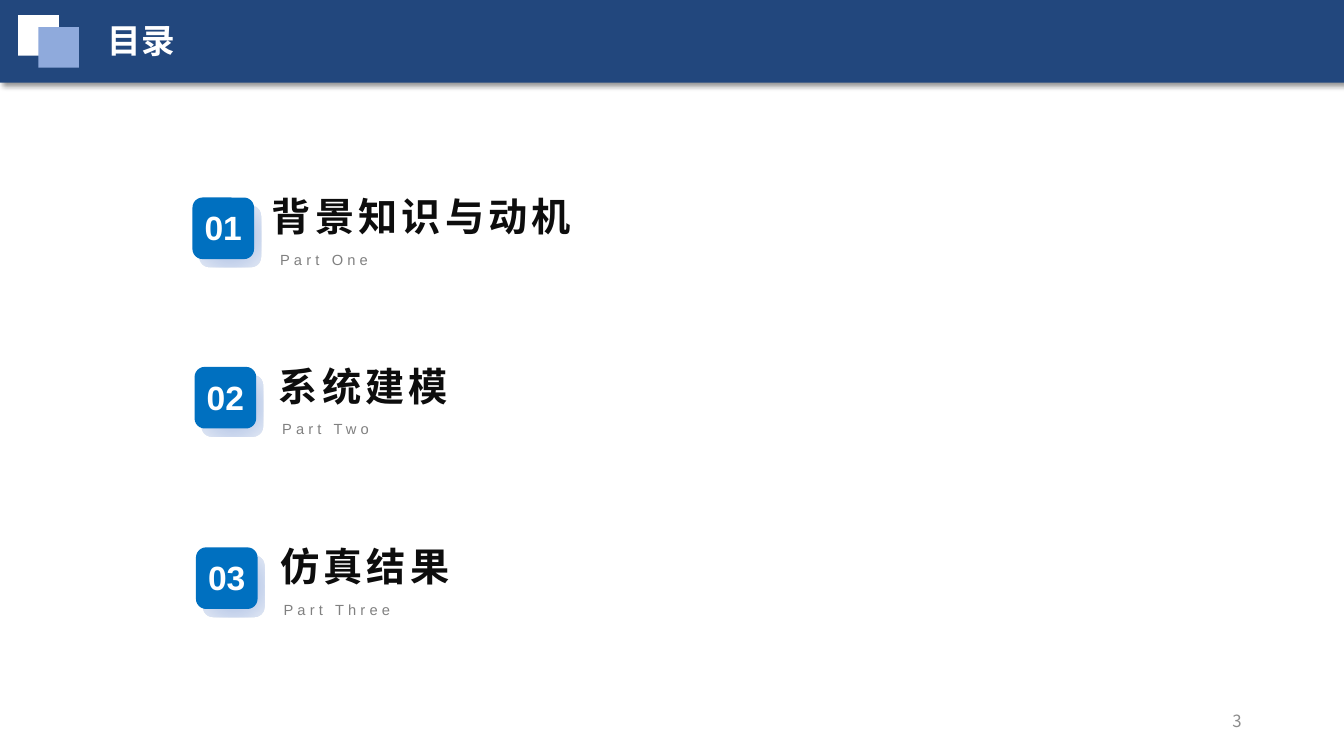
from lxml.etree import SubElement
from pptx import Presentation
from pptx.dml.color import RGBColor as RGB
from pptx.enum.shapes import MSO_SHAPE as Preset
from pptx.enum.text import MSO_ANCHOR as Anchor, MSO_AUTO_SIZE as AutoSize, PP_ALIGN as Align
from pptx.oxml import parse_xml
from pptx.oxml.ns import nsdecls, qn
from pptx.util import Pt

HEADING = "目录"
PAGE_NUMBER = "3"
SECTIONS = [
    {"number": "01", "title": "背景知识与动机", "part": "Part One",
     "left": 137.5, "top": 141.1, "title_left": 187.2, "title_width": 249.8},
    {"number": "02", "title": "系统建模", "part": "Part Two",
     "left": 139, "top": 262.1, "title_left": 192.2, "title_width": 182.9},
    {"number": "03", "title": "仿真结果", "part": "Part Three",
     "left": 140, "top": 391, "title_left": 193, "title_width": 166.3},
]

CJK = "Noto Sans CJK SC"
THEME = {
    "banner": "22477D", "white": "FFFFFF", "accent": "8FAADC", "badge": "0070C0",
    "badge_glow": [(0, "94B1E1"), (50, "BFCEEA"), (100, "E0E7F4")],
    "title_ink": ["0D0D0D", "595959"],
    "heading": {"size": Pt(24), "name": CJK, "bold": True},
    "page": {"size": Pt(12), "name": CJK},
    "part": {"size": Pt(10.5), "name": "Arial"},
    "number": {"size": Pt(24), "name": "Arial", "bold": True},
    "title": {"size": Pt(28), "name": "Arial", "bold": True},
    "ink": {"heading": "FFFFFF", "page": "8C8C8C", "part": "808080", "number": "FFFFFF"},
    "spacing": {"part": 3, "title": 3},
}
SLIDE_WIDTH, SLIDE_HEIGHT = 960, 540
BANNER_HEIGHT = 59
LOGO_SIDE = 29
BADGE_SIDE = 44
BADGE_ROUNDING = 0.164


def add_block(parent, preset, box, color=None):
    block = parent.add_shape(preset, *map(Pt, box))
    block.shadow.inherit = False
    block.line.fill.background()
    if color:
        block.fill.solid()
        block.fill.fore_color.rgb = RGB.from_string(color)
    return block


def add_label(parent, text, box, role, align=Align.LEFT, **frame_format):
    frame = parent.add_textbox(*map(Pt, box)).text_frame
    settings = {"word_wrap": True, "auto_size": AutoSize.SHAPE_TO_FIT_TEXT, **frame_format}
    for name, value in settings.items():
        setattr(frame, name, value)
    line = frame.paragraphs[0]
    line.alignment = align
    run = line.add_run()
    run.text = text
    for name, value in THEME[role].items():
        setattr(run.font, name, value)
    if role in THEME["ink"]:
        run.font.color.rgb = RGB.from_string(THEME["ink"][role])
    else:
        run.font.fill.gradient()
        run.font.fill.gradient_angle = 270
        for stop, color in zip(run.font.fill.gradient_stops, THEME["title_ink"]):
            stop.color.rgb = RGB.from_string(color)
    properties = run.font._element
    properties.find(qn("a:latin")).addnext(
        parse_xml(f'<a:ea {nsdecls("a")} typeface="{CJK}"/>'))
    if role in THEME["spacing"]:
        properties.set("spc", str(THEME["spacing"][role] * 100))


def add_banner_shadow(banner):
    effects = banner._element.spPr.find(qn("a:effectLst"))
    shadow = SubElement(effects, qn("a:outerShdw"), blurRad=str(Pt(4)), dist=str(Pt(3)),
                        dir="2700000", algn="tl", rotWithShape="0")
    color = SubElement(shadow, qn("a:srgbClr"), val="000000")
    SubElement(color, qn("a:alpha"), val="40000")


def fill_with_glow(block):
    block.fill.background()
    stops = "".join(f'<a:gs pos="{position * 1000}"><a:srgbClr val="{color}"/></a:gs>'
                    for position, color in THEME["badge_glow"])
    glow = parse_xml(
        f'<a:gradFill {nsdecls("a")} rotWithShape="1"><a:gsLst>{stops}</a:gsLst>'
        '<a:path path="circle"><a:fillToRect l="50000" t="50000" r="50000" b="50000"/>'
        '</a:path></a:gradFill>')
    properties = block._element.spPr
    properties.replace(properties.find(qn("a:noFill")), glow)


def add_section(slide, section):
    left, top = section["left"], section["top"]
    group = slide.shapes.add_group_shape().shapes
    add_label(group, section["part"], (left + 55.5, top + 34.5, 222, 20), "part")
    backing = add_block(group, Preset.ROUNDED_RECTANGLE,
                        (left + 5, top + 5.8, BADGE_SIDE, BADGE_SIDE))
    fill_with_glow(backing)
    badge = add_block(group, Preset.ROUNDED_RECTANGLE,
                      (left, top, BADGE_SIDE, BADGE_SIDE), THEME["badge"])
    for rounded in (backing, badge):
        rounded.adjustments[0] = BADGE_ROUNDING
    add_label(group, section["number"], (left + 1.5, top + 3.4, 41.8, 36), "number",
              word_wrap=False)
    add_label(group, section["title"],
              (section["title_left"], top - 7, section["title_width"], 41), "title")


def main():
    deck = Presentation()
    deck.slide_width, deck.slide_height = Pt(SLIDE_WIDTH), Pt(SLIDE_HEIGHT)
    slide = deck.slides.add_slide(deck.slide_layouts[6])
    banner = add_block(slide.shapes, Preset.RECTANGLE,
                       (0, 0, SLIDE_WIDTH, BANNER_HEIGHT), THEME["banner"])
    add_banner_shadow(banner)
    for left, top, color in [(13, 10.8, "white"), (27.4, 19.4, "accent")]:
        add_block(slide.shapes, Preset.RECTANGLE, (left, top, LOGO_SIDE, LOGO_SIDE),
                  THEME[color])
    add_label(slide.shapes, HEADING, (70, 10.8, 316, 36), "heading")
    add_label(slide.shapes, PAGE_NUMBER, (678, 500.5, 216, 28.8), "page", Align.RIGHT,
              auto_size=AutoSize.NONE, vertical_anchor=Anchor.MIDDLE)
    for section in SECTIONS:
        add_section(slide, section)
    deck.save("out.pptx")


if __name__ == "__main__":
    main()
